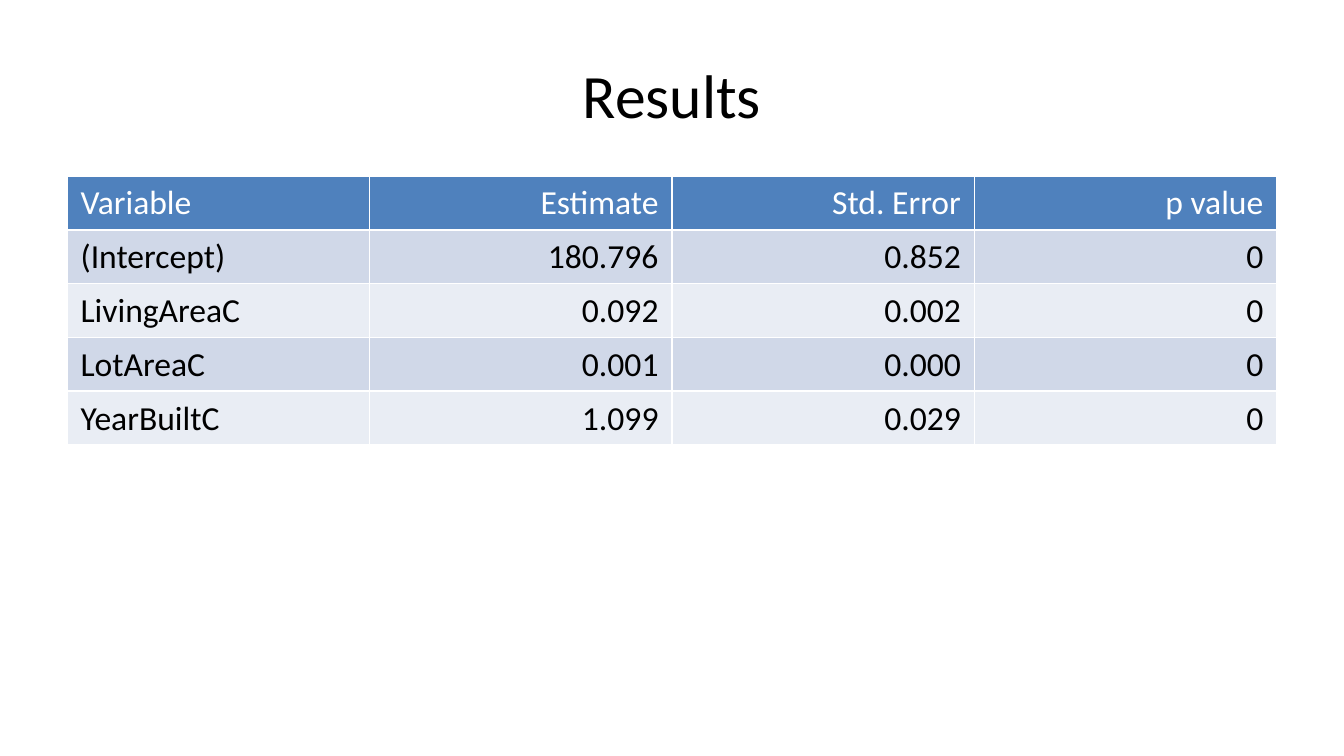
from lxml import etree
from pptx import Presentation
from pptx.dml.color import RGBColor
from pptx.enum.text import MSO_ANCHOR, PP_ALIGN
from pptx.oxml.ns import qn
from pptx.util import Inches, Pt

LEFT, CENTER, RIGHT = PP_ALIGN.LEFT, PP_ALIGN.CENTER, PP_ALIGN.RIGHT
MIDDLE = MSO_ANCHOR.MIDDLE

HEADING = "Results"
COEFFICIENTS = [
    ("Variable", "Estimate", "Std. Error", "p value"),
    ("(Intercept)", "180.796", "0.852", "0"),
    ("LivingAreaC", "0.092", "0.002", "0"),
    ("LotAreaC", "0.001", "0.000", "0"),
    ("YearBuiltC", "1.099", "0.029", "0"),
]

THEME = {
    "font": "Calibri",
    "heading_size": 33,
    "cell_size": 18,
    "ink": "000000",
    "header_ink": "FFFFFF",
    "header_fill": "4F81BD",
    "bands": ("E9EDF4", "D0D8E8"),
    "rule": "FFFFFF",
    "rule_width": 1,
}

WIDTH = Inches(10)
HEIGHT = WIDTH * 9 // 16
MARGIN = Inches(0.5)
CONTENT_WIDTH = WIDTH - 2 * MARGIN
HEADING_TOP, HEADING_HEIGHT = Inches(0.23), Inches(0.94)
TABLE_TOP, ROW_HEIGHT = Inches(1.31), Inches(0.4)


def write(frame, wording, size, ink, alignment):
    paragraph = frame.paragraphs[0]
    paragraph.alignment = alignment
    run = paragraph.add_run()
    run.text = wording
    formats = {"name": THEME["font"], "size": Pt(size), "bold": False}
    for attribute, value in formats.items():
        setattr(run.font, attribute, value)
    run.font.color.rgb = RGBColor.from_string(ink)


def rule_cell(cell):
    properties = cell._tc.get_or_add_tcPr()
    for side in ("a:lnL", "a:lnR", "a:lnT", "a:lnB"):
        line = etree.SubElement(properties, qn(side), w=str(Pt(THEME["rule_width"])))
        fill = etree.SubElement(line, qn("a:solidFill"))
        etree.SubElement(fill, qn("a:srgbClr"), val=THEME["rule"])


def add_heading(slide):
    heading = slide.shapes.add_textbox(MARGIN, HEADING_TOP, CONTENT_WIDTH, HEADING_HEIGHT)
    frame = heading.text_frame
    for attribute, value in {"word_wrap": True, "vertical_anchor": MIDDLE}.items():
        setattr(frame, attribute, value)
    write(frame, HEADING, THEME["heading_size"], THEME["ink"], CENTER)


def add_coefficients(slide):
    row_count, column_count = len(COEFFICIENTS), len(COEFFICIENTS[0])
    table = slide.shapes.add_table(
        row_count, column_count, MARGIN, TABLE_TOP,
        CONTENT_WIDTH, ROW_HEIGHT * row_count,
    ).table
    for r, values in enumerate(COEFFICIENTS):
        fill = THEME["bands"][r % 2] if r else THEME["header_fill"]
        ink = THEME["ink"] if r else THEME["header_ink"]
        for c, value in enumerate(values):
            cell = table.cell(r, c)
            rule_cell(cell)
            cell.fill.solid()
            cell.fill.fore_color.rgb = RGBColor.from_string(fill)
            write(cell.text_frame, value, THEME["cell_size"], ink, RIGHT if c else LEFT)


def main():
    deck = Presentation()
    deck.slide_width, deck.slide_height = WIDTH, HEIGHT
    slide = deck.slides.add_slide(deck.slide_layouts[6])
    add_heading(slide)
    add_coefficients(slide)
    deck.save("out.pptx")


if __name__ == "__main__":
    main()
